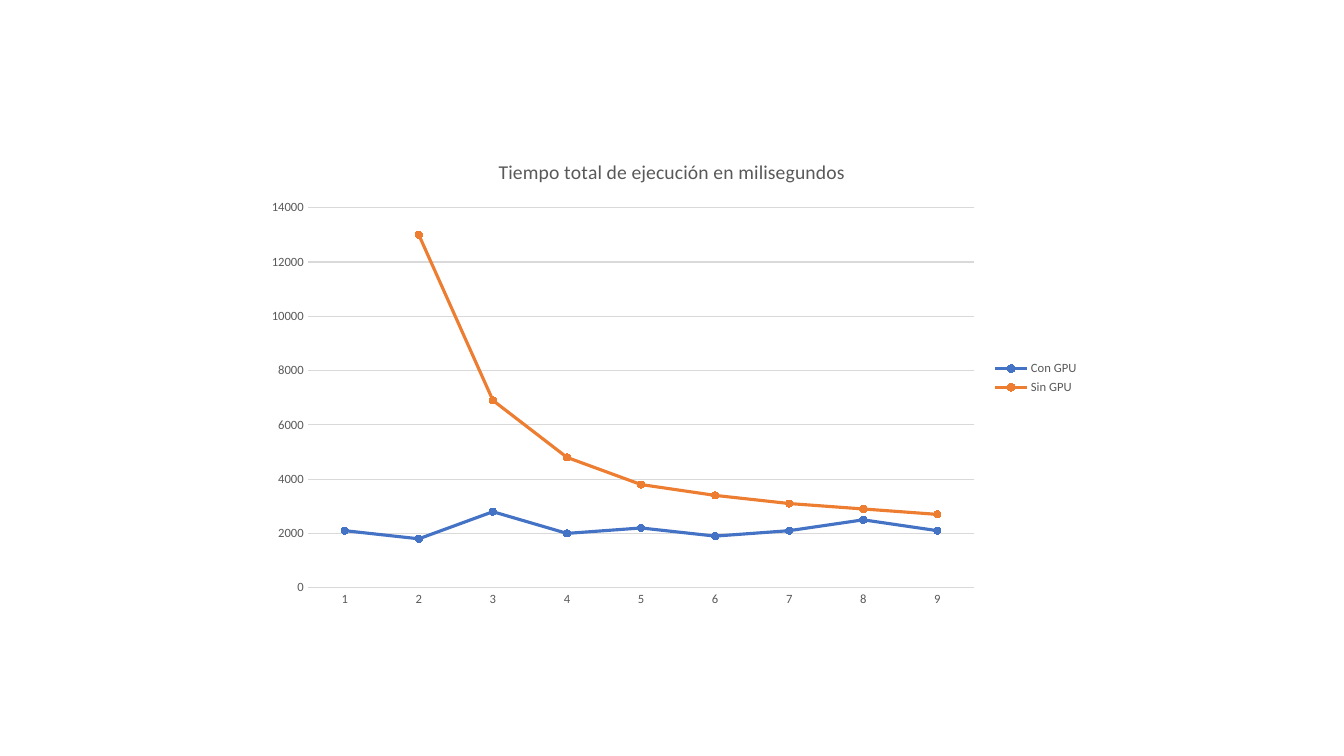
from pptx import Presentation
from pptx.chart.data import CategoryChartData
from pptx.dml.color import RGBColor
from pptx.enum.chart import (XL_CHART_TYPE, XL_LEGEND_POSITION,
                             XL_MARKER_STYLE, XL_TICK_MARK)
from pptx.util import Inches, Pt

LINE_MARKERS = XL_CHART_TYPE.LINE_MARKERS
LEGEND_RIGHT = XL_LEGEND_POSITION.RIGHT
CIRCLE = XL_MARKER_STYLE.CIRCLE
NO_TICK = XL_TICK_MARK.NONE

TITLE = "Tiempo total de ejecución en milisegundos"
CATEGORIES = [str(number) for number in range(1, 10)]
SERIES = [
    ("Con GPU", "4472C4",
     [2100, 1800, 2800, 2000, 2200, 1900, 2100, 2500, 2100]),
    ("Sin GPU", "ED7D31",
     [None, 13000, 6900, 4800, 3800, 3400, 3100, 2900, 2700]),
]


def color(hex_text):
    """Turn a hex string into a colour."""
    return RGBColor.from_string(hex_text)


class SlideBuilder:
    """Holds the style and the current slide."""

    font_name = "Calibri"
    text_color = "595959"
    grid_color = "D9D9D9"

    def __init__(self, slide):
        """Keep the slide to draw on."""
        self.slide = slide

    def style_font(self, font, size):
        """Apply the common font at the given size."""
        font.name = self.font_name
        font.size = Pt(size)
        font.bold = False
        font.color.rgb = color(self.text_color)

    def style_line(self, line, hex_text, width):
        """Set the colour and width of a line."""
        line.color.rgb = color(hex_text)
        line.width = Pt(width)

    def style_axis(self, axis):
        """Remove tick marks and set the label font."""
        axis.major_tick_mark = NO_TICK
        axis.minor_tick_mark = NO_TICK
        self.style_font(axis.tick_labels.font, 9)

    def style_series(self, series, hex_text):
        """Draw a series as straight lines with round markers."""
        series.smooth = False
        self.style_line(series.format.line, hex_text, 2.25)
        marker = series.marker
        marker.style = CIRCLE
        marker.size = 5
        marker.format.fill.solid()
        marker.format.fill.fore_color.rgb = color(hex_text)
        self.style_line(marker.format.line, hex_text, 0.75)

    def line_chart(self, left, top, width, height, title, categories, series_rows):
        """Add a line chart with a title and a legend on the right."""
        data = CategoryChartData()
        data.categories = categories
        for name, _, values in series_rows:
            data.add_series(name, values)
        chart = self.slide.shapes.add_chart(
            LINE_MARKERS, Inches(left), Inches(top),
            Inches(width), Inches(height), data).chart
        self.style_font(chart.font, 10)
        chart.plots[0].vary_by_categories = False

        chart.has_title = True
        chart.chart_title.include_in_layout = False
        title_frame = chart.chart_title.text_frame
        title_frame.text = title
        self.style_font(title_frame.paragraphs[0].font, 14)

        chart.has_legend = True
        chart.legend.position = LEGEND_RIGHT
        chart.legend.include_in_layout = False
        self.style_font(chart.legend.font, 9)

        category_axis, value_axis = chart.category_axis, chart.value_axis
        for axis in (category_axis, value_axis):
            self.style_axis(axis)
        self.style_line(category_axis.format.line, self.grid_color, 0.75)
        value_axis.format.line.fill.background()
        value_axis.minimum_scale = 0
        value_axis.maximum_scale = 14000
        value_axis.major_unit = 2000
        value_axis.has_major_gridlines = True
        self.style_line(value_axis.major_gridlines.format.line,
                        self.grid_color, 0.75)

        for series, (_, hex_text, _) in zip(chart.plots[0].series, series_rows):
            self.style_series(series, hex_text)


def main():
    """Build and save the deck."""
    deck = Presentation()
    deck.slide_width = Inches(13.33)
    deck.slide_height = Inches(7.5)
    builder = SlideBuilder(deck.slides.add_slide(deck.slide_layouts[6]))
    builder.line_chart(2.53, 1.39, 8.27, 4.72, TITLE, CATEGORIES, SERIES)
    deck.save("out.pptx")


main()
